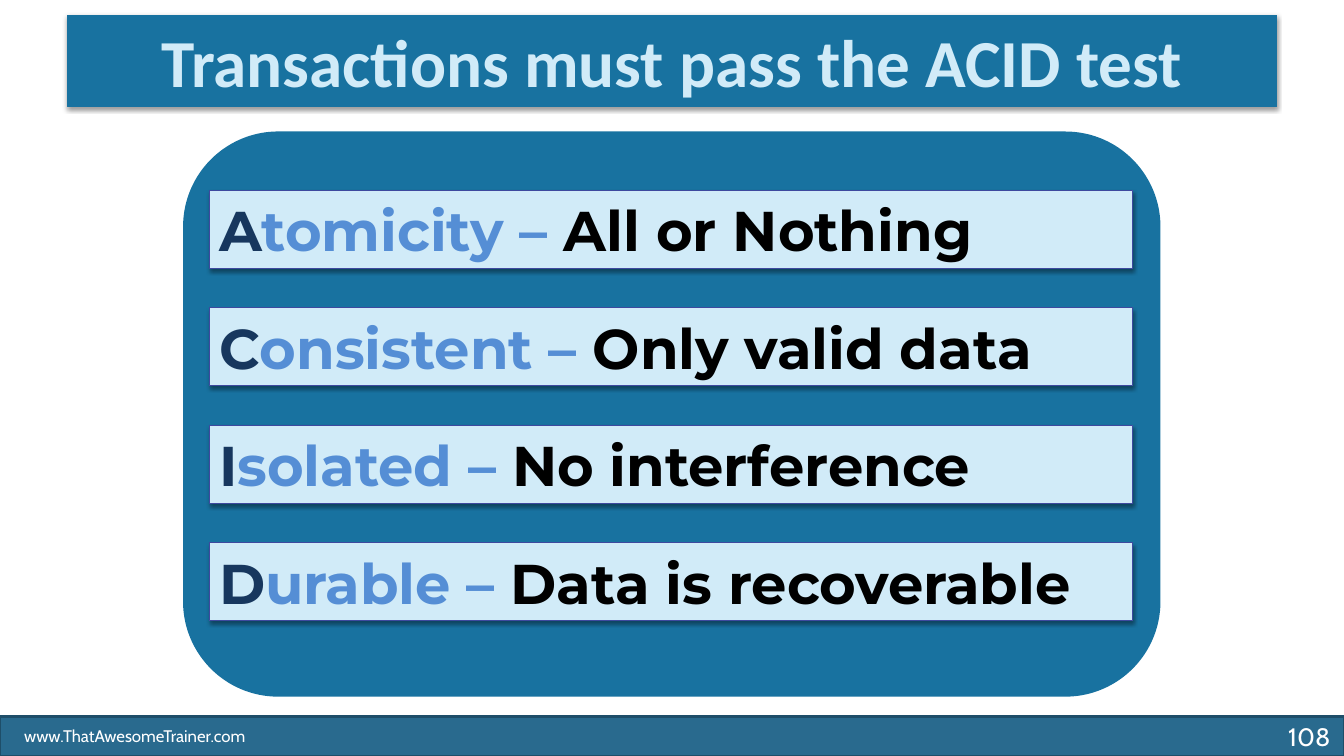
from dataclasses import dataclass

from lxml.etree import SubElement
from pptx import Presentation
from pptx.dml.color import RGBColor
from pptx.enum.shapes import MSO_SHAPE as Shape
from pptx.enum.text import MSO_ANCHOR as Anchor, MSO_AUTO_SIZE as Fit, PP_ALIGN as Align
from pptx.oxml.ns import qn
from pptx.util import Cm, Pt

BLUE, PALE, NAVY, SKY = "1872A0", "D1EBF8", "17375E", "558ED5"
WHITE, BLACK = "FFFFFF", "000000"
WIDE, HIGH = 33.87, 19.05


@dataclass(frozen=True)
class Box:
    left: float
    top: float
    width: float
    height: float

    def cm(self) -> tuple:
        return Cm(self.left), Cm(self.top), Cm(self.width), Cm(self.height)


@dataclass(frozen=True)
class Rule:
    head: str
    rest: str
    gist: str


RULES = [
    Rule("A", "tomicity – ", "All or Nothing"),
    Rule("C", "onsistent – ", "Only valid data"),
    Rule("I", "solated – ", "No interference"),
    Rule("D", "urable – ", "Data is recoverable"),
]
ROW = Box(5.27, 4.8, 23.28, 1.96)
STEP = 2.96


def tint(code: str) -> RGBColor:
    return RGBColor.from_string(code)


def paint(shape, fill: str, line: str, width: float, shade: bool = False) -> None:
    """Set fill and outline, with a soft drop shadow if asked."""
    shape.fill.solid()
    shape.fill.fore_color.rgb = tint(fill)
    shape.line.color.rgb = tint(line)
    shape.line.width = Pt(width)
    shape.shadow.inherit = False
    if shade:
        effects = shape._element.spPr.find(qn("a:effectLst"))
        drop = SubElement(effects, qn("a:outerShdw"), blurRad=str(Pt(3.1)),
                          dist=str(Pt(1.6)), dir="5400000", rotWithShape="0")
        color = SubElement(drop, qn("a:srgbClr"), val=BLACK)
        SubElement(color, qn("a:alpha"), val="38000")


def write(shape, *runs: tuple[str, str], size: float, font: str,
          bold: bool = False, align: Align = Align.LEFT) -> None:
    """Fill a shape with one paragraph of (text, colour) runs."""
    frame = shape.text_frame
    frame.word_wrap = True
    frame.auto_size = Fit.NONE
    frame.vertical_anchor = Anchor.MIDDLE
    para = frame.paragraphs[0]
    para.alignment = align
    for text, color in runs:
        run = para.add_run()
        run.text = text
        run.font.name = font
        run.font.size = Pt(size)
        run.font.bold = bold
        run.font.color.rgb = tint(color)


def main() -> None:
    deck = Presentation()
    deck.slide_width, deck.slide_height = Cm(WIDE), Cm(HIGH)
    slide = deck.slides.add_slide(deck.slide_layouts[5])
    shapes = slide.shapes

    # Footer band, site and page number
    band = shapes.add_shape(Shape.RECTANGLE, *Box(0, 18.05, WIDE, 1).cm())
    paint(band, "296A8E", "1E4E69", 2)
    site = shapes.add_textbox(*Box(0.36, 18.16, 6.48, 0.76).cm())
    write(site, ("www.ThatAwesomeTrainer.com", WHITE), size=12, font="Cabin")
    page = shapes.add_textbox(*Box(31.8, 18.06, 1.98, 1.02).cm())
    write(page, ("108", WHITE), size=18, font="Cabin", align=Align.RIGHT)

    # Rounded panel
    panel = shapes.add_shape(Shape.ROUNDED_RECTANGLE, *Box(4.65, 3.35, 24.56, 14.17).cm())
    paint(panel, BLUE, BLUE, 2)

    # One bar for each ACID rule
    for i, rule in enumerate(RULES):
        place = Box(ROW.left, ROW.top + i * STEP, ROW.width, ROW.height)
        bar = shapes.add_shape(Shape.RECTANGLE, *place.cm())
        paint(bar, PALE, "3E499F", 0.75, shade=True)
        write(bar, (rule.head, NAVY), (rule.rest, SKY), (rule.gist, BLACK),
              size=40, font="Montserrat", bold=True)

    # Title
    title = shapes.title
    title.left, title.top, title.width, title.height = Box(1.7, 0.38, 30.48, 2.31).cm()
    paint(title, BLUE, BLUE, 0.75, shade=True)
    write(title, ("Transactions must pass the ACID test", PALE),
          size=48, font="Calibri", bold=True, align=Align.CENTER)

    deck.save("out.pptx")


if __name__ == "__main__":
    main()
